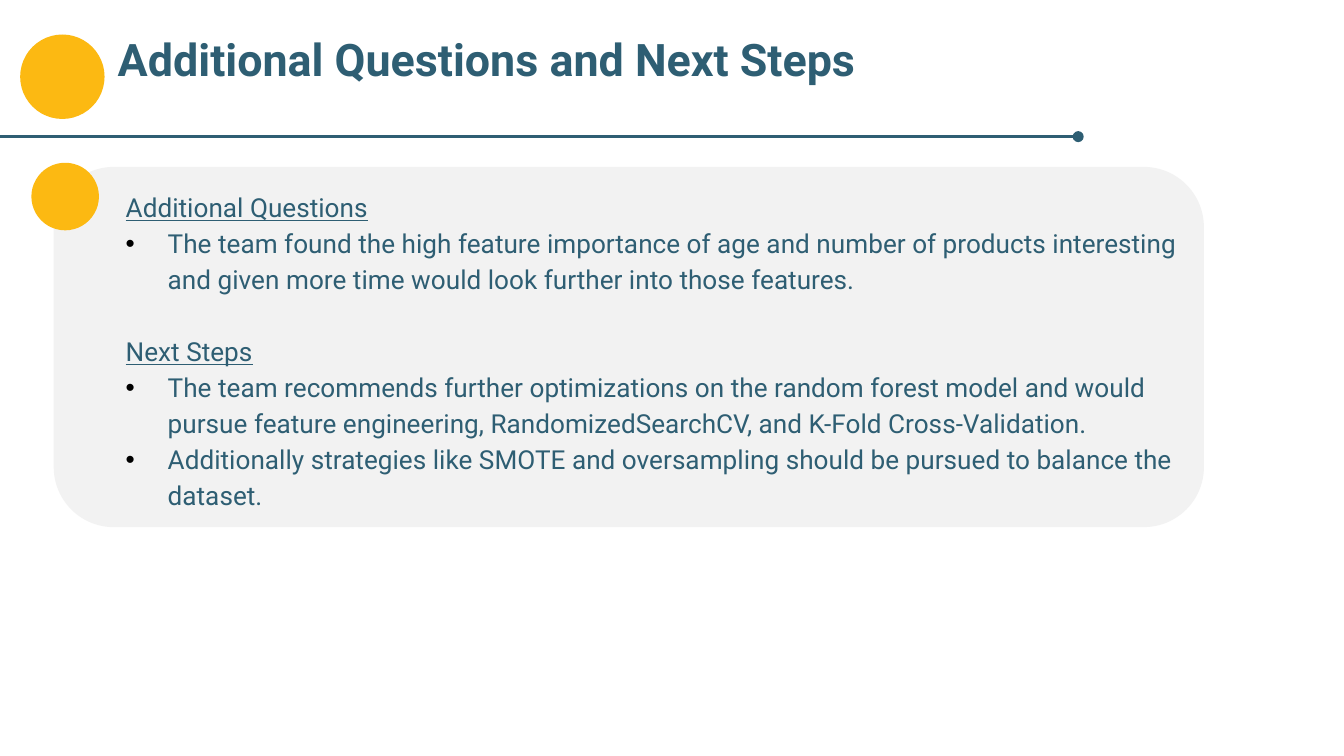
from dataclasses import dataclass

from lxml.etree import SubElement
from pptx import Presentation
from pptx.dml.color import RGBColor
from pptx.enum.shapes import MSO_CONNECTOR as Connector, MSO_SHAPE as Preset
from pptx.enum.text import MSO_ANCHOR as Anchor
from pptx.oxml.ns import qn
from pptx.shapes.autoshape import Shape
from pptx.slide import Slide
from pptx.util import Pt

FONT = "Roboto"
TEAL, YELLOW, GREY, BLACK = "2E5E73", "FCB912", "F2F2F2", "000000"
INSET = 7.2
BULLET_INDENT = 22.5
BODY_SIZE = 14
LINE_SPACING = 1.15
SECTION_GAP = 19.2


@dataclass(frozen=True)
class Box:
    left: float
    top: float
    width: float
    height: float

    def lengths(self) -> tuple[Pt, Pt, Pt, Pt]:
        return Pt(self.left), Pt(self.top), Pt(self.width), Pt(self.height)


@dataclass(frozen=True)
class Section:
    heading: str
    points: tuple[str, ...]


SECTIONS = (
    Section("Additional Questions", (
        "The team found the high feature importance of age and number of products "
        "interesting and given more time would look further into those features.",
    )),
    Section("Next Steps", (
        "The team recommends further optimizations on the random forest model and would "
        "pursue feature engineering, RandomizedSearchCV, and K-Fold Cross-Validation.",
        "Additionally strategies like SMOTE and oversampling should be pursued to balance "
        "the dataset.",
    )),
)


def color(hex_code: str) -> RGBColor:
    return RGBColor.from_string(hex_code)


def add_filled_shape(slide: Slide, preset: Preset, box: Box, fill: str) -> Shape:
    shape = slide.shapes.add_shape(preset, *box.lengths())
    shape.shadow.inherit = False
    shape.fill.solid()
    shape.fill.fore_color.rgb = color(fill)
    shape.line.fill.background()
    return shape


def add_text_frame(slide: Slide, box: Box):
    text_frame = slide.shapes.add_textbox(*box.lengths()).text_frame
    text_frame.word_wrap = True
    text_frame.vertical_anchor = Anchor.TOP
    text_frame.margin_left = text_frame.margin_right = Pt(INSET)
    text_frame.margin_top = text_frame.margin_bottom = Pt(INSET)
    return text_frame


def format_runs(paragraph, size: float, bold: bool = False, underline: bool = False) -> None:
    for run in paragraph.runs:
        run.font.name = FONT
        run.font.size = Pt(size)
        run.font.bold = bold
        run.font.underline = underline
        run.font.color.rgb = color(TEAL)


def add_bullet(paragraph) -> None:
    properties = paragraph._p.get_or_add_pPr()
    properties.set("marL", str(Pt(BULLET_INDENT)))
    properties.set("indent", str(-Pt(BULLET_INDENT)))
    bullet_color = SubElement(properties, qn("a:buClr"))
    SubElement(bullet_color, qn("a:srgbClr"), val=BLACK)
    SubElement(properties, qn("a:buFont"), typeface="Arial")
    SubElement(properties, qn("a:buChar"), char="•")


def add_title(slide: Slide, box: Box, title: str) -> None:
    paragraph = add_text_frame(slide, box).paragraphs[0]
    paragraph.text = title
    format_runs(paragraph, 24, bold=True)


def add_sections(slide: Slide, box: Box, sections: tuple[Section, ...]) -> None:
    text_frame = add_text_frame(slide, box)
    lines = [(text, is_heading)
             for section in sections
             for text, is_heading in [(section.heading, True),
                                      *((point, False) for point in section.points)]]
    for index, (text, is_heading) in enumerate(lines):
        paragraph = text_frame.add_paragraph() if index else text_frame.paragraphs[0]
        paragraph.text = text
        paragraph.line_spacing = LINE_SPACING
        format_runs(paragraph, BODY_SIZE, underline=is_heading)
        if not is_heading:
            add_bullet(paragraph)
        elif index:
            paragraph.space_before = Pt(SECTION_GAP)


def add_title_rule(slide: Slide, left: float, right: float, top: float) -> None:
    """Draw a horizontal line that ends in a dot on the right."""
    rule = slide.shapes.add_connector(Connector.STRAIGHT, Pt(left), Pt(top), Pt(right), Pt(top))
    rule.line.color.rgb = color(TEAL)
    rule.line.width = Pt(1.5)
    SubElement(rule.line._get_or_add_ln(), qn("a:tailEnd"), type="oval")
    SubElement(rule._element.spPr, qn("a:effectLst"))


def main() -> None:
    presentation = Presentation()
    presentation.slide_width, presentation.slide_height = Pt(720), Pt(405)
    slide = presentation.slides.add_slide(presentation.slide_layouts[6])

    add_filled_shape(slide, Preset.OVAL, Box(10.8, 18.5, 45.2, 45.2), YELLOW)
    add_title(slide, Box(56, 10, 639.5, 45.2), "Additional Questions and Next Steps")
    panel = add_filled_shape(slide, Preset.ROUNDED_RECTANGLE, Box(28.8, 89.4, 616.2, 193), GREY)
    panel.adjustments[0] = 0.167
    add_sections(slide, Box(60.3, 93, 578.2, 190), SECTIONS)
    add_filled_shape(slide, Preset.OVAL, Box(16.8, 87.2, 36.2, 36.2), YELLOW)
    add_title_rule(slide, -0.5, 577.6, 73.2)

    presentation.save("out.pptx")


if __name__ == "__main__":
    main()
